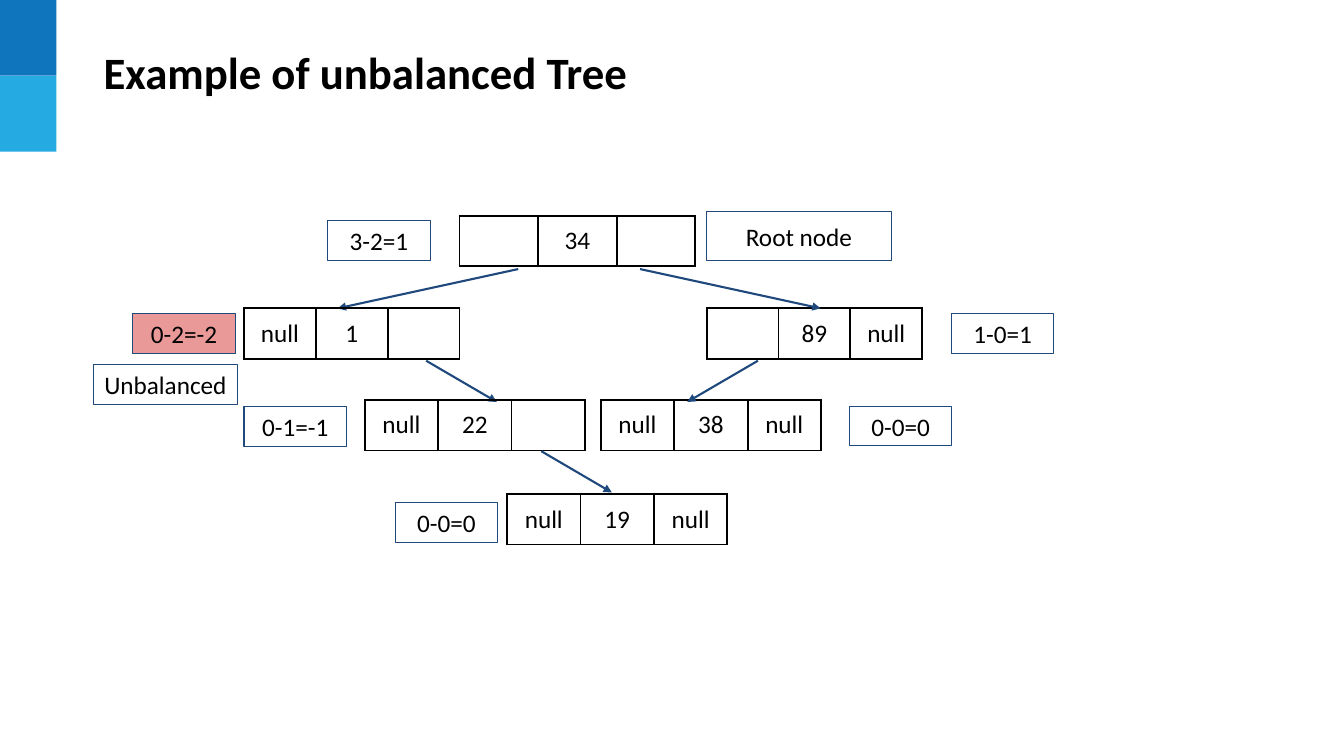
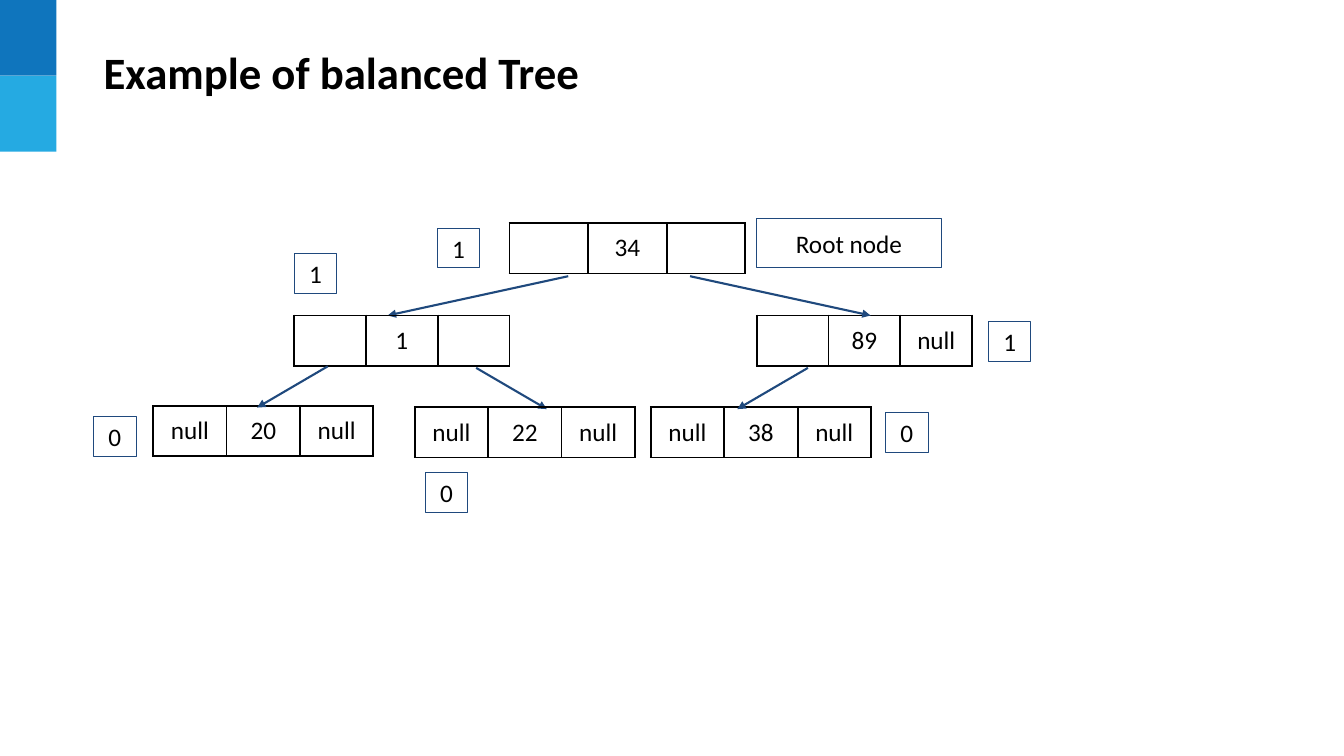
from dataclasses import dataclass

import pptx
import pptx.dml.color
import pptx.enum.shapes
import pptx.enum.text
import pptx.oxml
import pptx.oxml.ns
import pptx.presentation
import pptx.shapes.autoshape
import pptx.slide
import pptx.text.text
import pptx.util

Cm = pptx.util.Cm
Pt = pptx.util.Pt

COLORS = {
    "band_dark": "0F75BD",
    "band_light": "25AAE2",
    "text": "000000",
    "outline": "1F497D",
    "plain": "FFFFFF",
    "alert": "EA9999",
}
FONT = "Calibri"
INSET = 0.25
ROW_HEIGHT = 1.27
LABEL_HEIGHT = 1.0
FACTOR_WIDTH = 2.58
DIGIT_WIDTH = 1.07


# All lengths below are centimetres
@dataclass(frozen=True)
class Node:
    left: float
    top: float
    cells: tuple[str, str, str]
    column_width: float = 1.85


@dataclass(frozen=True)
class Arrow:
    left: float
    top: float
    run: float
    drop: float = 1.04


@dataclass(frozen=True)
class Label:
    left: float
    top: float
    text: str
    width: float
    height: float = LABEL_HEIGHT
    fill: str = "plain"


@dataclass(frozen=True)
class Tree:
    title: str
    shift: tuple[float, float]
    nodes: list[Node]
    arrows: list[Arrow]
    labels: list[Label]


def color(name: str) -> pptx.dml.color.RGBColor:
    return pptx.dml.color.RGBColor.from_string(COLORS[name])


def add_run(paragraph: pptx.text.text._Paragraph, text: str,
            size: float = 18, bold: bool = False) -> None:
    run = paragraph.add_run()
    run.text = text
    run.font.name = FONT
    run.font.size = Pt(size)
    run.font.bold = bold
    run.font.color.rgb = color("text")


def add_rectangle(slide: pptx.slide.Slide, left: float, top: float, width: float,
                  height: float, fill: str) -> pptx.shapes.autoshape.Shape:
    shape = slide.shapes.add_shape(pptx.enum.shapes.MSO_SHAPE.RECTANGLE,
                                   Cm(left), Cm(top), Cm(width), Cm(height))
    shape.shadow.inherit = False
    shape.fill.solid()
    shape.fill.fore_color.rgb = color(fill)
    shape.line.fill.background()
    return shape


def add_bands(presentation: pptx.presentation.Presentation, slide: pptx.slide.Slide) -> None:
    """Draw the corner bands and move them to the master, for every slide."""
    size = 1.91
    for index, fill in enumerate(("band_dark", "band_light")):
        band = add_rectangle(slide, 0, index * size, 1.42, size, fill)
        band.element.nvSpPr.cNvPr.set("id", str(20 + index))
        presentation.slide_master.shapes.element.append(band.element)


def add_title(slide: pptx.slide.Slide, text: str) -> None:
    shape = slide.shapes.add_textbox(Cm(2.36), Cm(0.99), Cm(29.51), Cm(1.63))
    frame = shape.text_frame
    frame.word_wrap = True
    frame.vertical_anchor = pptx.enum.text.MSO_ANCHOR.MIDDLE
    add_run(frame.paragraphs[0], text, size=32, bold=True)


def add_label(slide: pptx.slide.Slide, label: Label,
              shift: tuple[float, float] = (0, 0)) -> None:
    shape = add_rectangle(slide, label.left + shift[0], label.top + shift[1],
                          label.width, label.height, label.fill)
    shape.line.color.rgb = color("outline")
    shape.line.width = Pt(0.75)
    frame = shape.text_frame
    frame.word_wrap = False
    frame.margin_left = frame.margin_right = Cm(INSET)
    frame.margin_top = frame.margin_bottom = Cm(INSET)
    frame.vertical_anchor = pptx.enum.text.MSO_ANCHOR.MIDDLE
    paragraph = frame.paragraphs[0]
    paragraph.alignment = pptx.enum.text.PP_ALIGN.CENTER
    add_run(paragraph, label.text)


def add_node(slide: pptx.slide.Slide, node: Node,
             shift: tuple[float, float] = (0, 0)) -> None:
    count = len(node.cells)
    table = slide.shapes.add_table(
        1, count, Cm(node.left + shift[0]), Cm(node.top + shift[1]),
        Cm(node.column_width * count), Cm(ROW_HEIGHT)).table
    table.first_row = table.horz_banding = False
    for index, text in enumerate(node.cells):
        table.columns[index].width = Cm(node.column_width)
        cell = table.cell(0, index)
        cell.margin_left = cell.margin_right = Cm(INSET)
        cell.margin_top = cell.margin_bottom = Cm(INSET)
        properties = cell._tc.get_or_add_tcPr()
        for side in "LRTB":
            properties.append(pptx.oxml.parse_xml(
                f'<a:ln{side} {pptx.oxml.ns.nsdecls("a")} w="{Pt(1.5)}"><a:solidFill>'
                f'<a:srgbClr val="{COLORS["text"]}"/></a:solidFill></a:ln{side}>'))
        cell.fill.background()
        if text:
            paragraph = cell.text_frame.paragraphs[0]
            paragraph.alignment = pptx.enum.text.PP_ALIGN.CENTER
            add_run(paragraph, text)


def add_arrow(slide: pptx.slide.Slide, arrow: Arrow,
              shift: tuple[float, float] = (0, 0)) -> None:
    left, top = arrow.left + shift[0], arrow.top + shift[1]
    connector = slide.shapes.add_connector(
        pptx.enum.shapes.MSO_CONNECTOR.STRAIGHT,
        Cm(left), Cm(top), Cm(left + arrow.run), Cm(top + arrow.drop))
    connector.line.color.rgb = color("outline")
    connector.line.width = Pt(1.5)
    namespace = pptx.oxml.ns.nsdecls("a")
    connector.line._get_or_add_ln().append(
        pptx.oxml.parse_xml(f'<a:tailEnd {namespace} type="triangle"/>'))
    connector.element.spPr.append(pptx.oxml.parse_xml(f'<a:effectLst {namespace}/>'))


# Parts that both trees share, moved by the shift of each tree
ROOT_LABEL = Label(17.81, 5.33, "Root node", 4.65, 1.24)
SHARED_NODES = [
    Node(11.58, 5.44, ("", "34", ""), 1.98),
    Node(17.81, 7.77, ("", "89", "null"), 1.81),
    Node(15.14, 10.08, ("null", "38", "null")),
]
SHARED_ARROWS = [
    Arrow(13.06, 6.78, -4.55, 0.99),
    Arrow(16.13, 6.78, 4.55, 0.99),
    Arrow(10.74, 9.09, 1.78),
    Arrow(19.1, 9.09, -1.78),
]

TREES = [
    Tree(
        "Example of unbalanced Tree", (0, 0),
        [Node(6.15, 7.77, ("null", "1", ""), 1.81),
         Node(9.19, 10.08, ("null", "22", "")),
         Node(12.78, 12.45, ("null", "19", "null"))],
        [Arrow(13.64, 11.37, 1.78)],
        [Label(8.26, 5.56, "3-2=1", FACTOR_WIDTH),
         Label(3.35, 7.9, "0-2=-2", FACTOR_WIDTH, fill="alert"),
         Label(6.15, 10.25, "0-1=-1", FACTOR_WIDTH),
         Label(9.96, 12.67, "0-0=0", FACTOR_WIDTH),
         Label(21.41, 10.24, "0-0=0", FACTOR_WIDTH),
         Label(23.98, 7.9, "1-0=1", FACTOR_WIDTH),
         Label(2.36, 9.19, "Unbalanced", 3.62)],
    ),
    Tree(
        "Example of balanced Tree", (1.26, 0.18),
        [Node(7.41, 7.95, ("", "1", ""), 1.81),
         Node(10.45, 10.26, ("null", "22", "null")),
         Node(3.86, 10.23, ("null", "20", "null"))],
        [Arrow(8.26, 9.23, -1.78)],
        [Label(10.72, 11.91, "0", DIGIT_WIDTH),
         Label(7.42, 6.4, "1", DIGIT_WIDTH),
         Label(2.36, 10.5, "0", DIGIT_WIDTH),
         Label(11.02, 5.75, "1", DIGIT_WIDTH),
         Label(22.32, 10.4, "0", DIGIT_WIDTH),
         Label(24.91, 8.1, "1", DIGIT_WIDTH)],
    ),
]


def add_tree(slide: pptx.slide.Slide, tree: Tree) -> None:
    add_title(slide, tree.title)
    # Shared upper part
    for node in SHARED_NODES:
        add_node(slide, node, tree.shift)
    for arrow in SHARED_ARROWS:
        add_arrow(slide, arrow, tree.shift)
    add_label(slide, ROOT_LABEL, tree.shift)
    # Parts of this tree only
    for node in tree.nodes:
        add_node(slide, node)
    for arrow in tree.arrows:
        add_arrow(slide, arrow)
    for label in tree.labels:
        add_label(slide, label)


def main() -> None:
    presentation = pptx.Presentation()
    presentation.slide_width = Cm(33.87)
    presentation.slide_height = Cm(19.05)
    blank_layout = presentation.slide_layouts[6]
    slides = [presentation.slides.add_slide(blank_layout) for _ in TREES]
    add_bands(presentation, slides[0])
    for slide, tree in zip(slides, TREES):
        add_tree(slide, tree)
    presentation.save("out.pptx")


if __name__ == "__main__":
    main()
